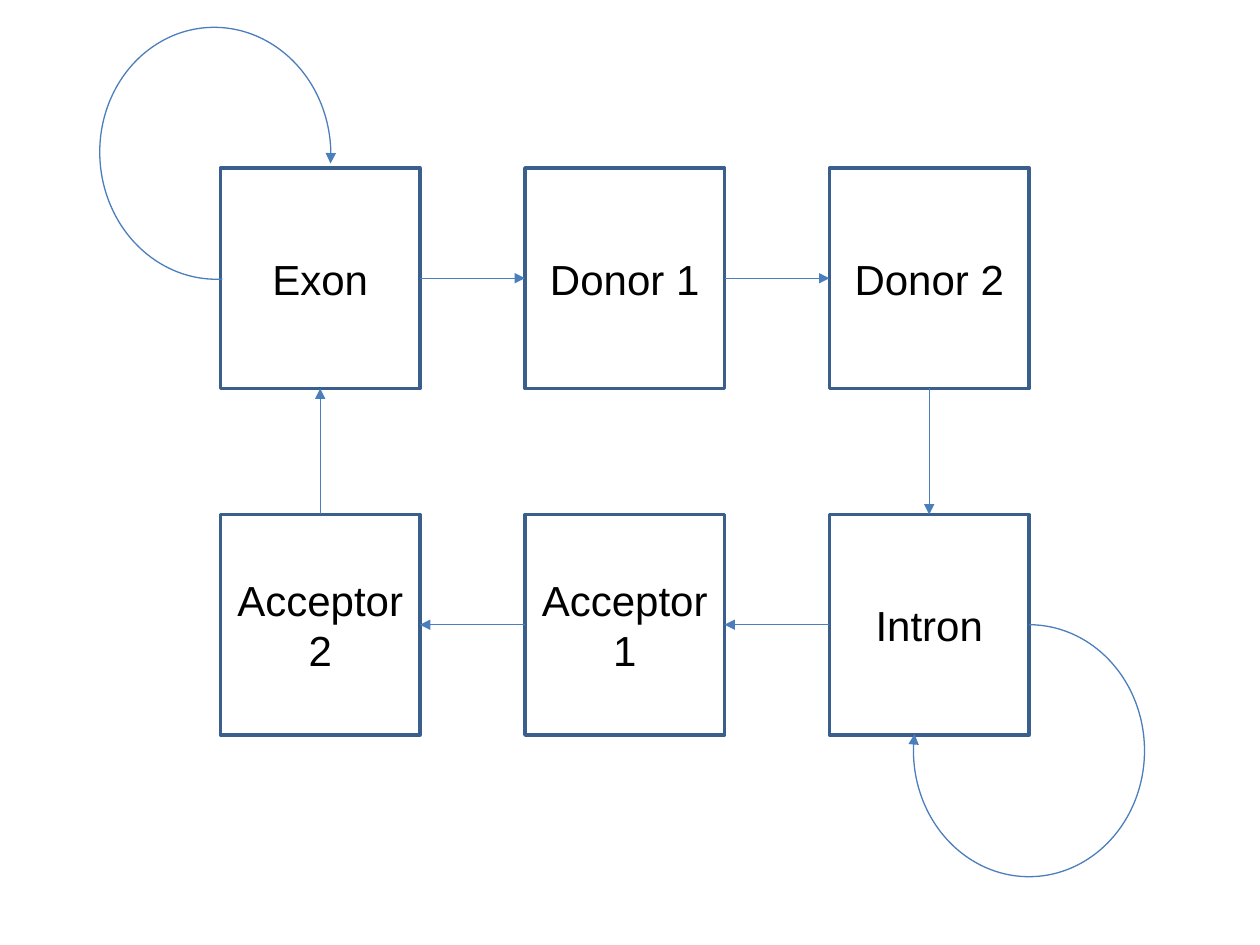
from lxml import etree
from pptx import Presentation
from pptx.dml.color import RGBColor
from pptx.enum.shapes import MSO_CONNECTOR, MSO_SHAPE
from pptx.enum.text import MSO_ANCHOR, PP_ALIGN
from pptx.oxml.ns import qn
from pptx.util import Emu, Pt

RECTANGLE = MSO_SHAPE.RECTANGLE
ARC = MSO_SHAPE.ARC
STRAIGHT = MSO_CONNECTOR.STRAIGHT
MIDDLE = MSO_ANCHOR.MIDDLE
CENTER = PP_ALIGN.CENTER

EMU_PER_PX = 7620
COLORS = {"border": "3A5F8C", "arrow": "4B7EBC", "label": "000000"}
TOP, LEFT, BOTTOM, RIGHT = range(4)

STATE_WIDTH, STATE_HEIGHT = 190, 210
COLUMN_STEP, ROW_STEP = 290, 330
LOOP_WIDTH, LOOP_HEIGHT = 220, 240

STATE_ROWS = [
    ["Exon", "Donor 1", "Donor 2"],
    ["Acceptor 2", "Acceptor 1", "Intron"],
]
TRANSITIONS = [
    ("Exon", RIGHT, "Donor 1", LEFT),
    ("Donor 1", RIGHT, "Donor 2", LEFT),
    ("Donor 2", BOTTOM, "Intron", TOP),
    ("Intron", LEFT, "Acceptor 1", RIGHT),
    ("Acceptor 1", LEFT, "Acceptor 2", RIGHT),
    ("Acceptor 2", TOP, "Exon", BOTTOM),
]


def px(length):
    return Emu(length * EMU_PER_PX)


def style_line(line, color, width):
    line.color.rgb = RGBColor.from_string(COLORS[color])
    line.width = Pt(width)


def style_arrow(arrow):
    style_line(arrow.line, "arrow", 0.75)
    outline = arrow.line._get_or_add_ln()
    etree.SubElement(outline, qn("a:tailEnd"), type="triangle")


def add_state(slide, name, left, top):
    state = slide.shapes.add_shape(
        RECTANGLE, px(left), px(top), px(STATE_WIDTH), px(STATE_HEIGHT))
    state.shadow.inherit = False
    state.fill.background()
    style_line(state.line, "border", 2)
    frame = state.text_frame
    frame.word_wrap = True
    frame.vertical_anchor = MIDDLE
    frame.text = name
    label = frame.paragraphs[0]
    label.alignment = CENTER
    font = label.runs[0].font
    font.name = "Arial"
    font.size = Pt(24)
    font.color.rgb = RGBColor.from_string(COLORS["label"])
    return state


def add_transition(slide, source, source_side, target, target_side):
    transition = slide.shapes.add_connector(STRAIGHT, 0, 0, 0, 0)
    transition.begin_connect(source, source_side)
    transition.end_connect(target, target_side)
    style_arrow(transition)
    etree.SubElement(transition._element.spPr, qn("a:effectLst"))


def add_self_loop(slide, state, offset_x, offset_y, rotation):
    loop = slide.shapes.add_shape(
        ARC, state.left + px(offset_x), state.top + px(offset_y),
        px(LOOP_WIDTH), px(LOOP_HEIGHT))
    loop.adjustments[0] = 162
    loop.adjustments[1] = 112.95
    loop.rotation = rotation
    loop.fill.background()
    style_arrow(loop)
    loop.shadow.inherit = False


def add_state_diagram(slide, left, top):
    states = {
        name: add_state(slide, name, left + column * COLUMN_STEP, top + row * ROW_STEP)
        for row, names in enumerate(STATE_ROWS)
        for column, name in enumerate(names)
    }
    for source, source_side, target, target_side in TRANSITIONS:
        add_transition(slide, states[source], source_side, states[target], target_side)
    add_self_loop(slide, states["Exon"], -115, -134, 176.8)
    add_self_loop(slide, states["Intron"], 80, 105, 0)


def main():
    deck = Presentation()
    deck.slide_width, deck.slide_height = px(1200), px(900)
    slide = deck.slides.add_slide(deck.slide_layouts[6])
    add_state_diagram(slide, 210, 160)
    deck.save("out.pptx")


if __name__ == "__main__":
    main()
